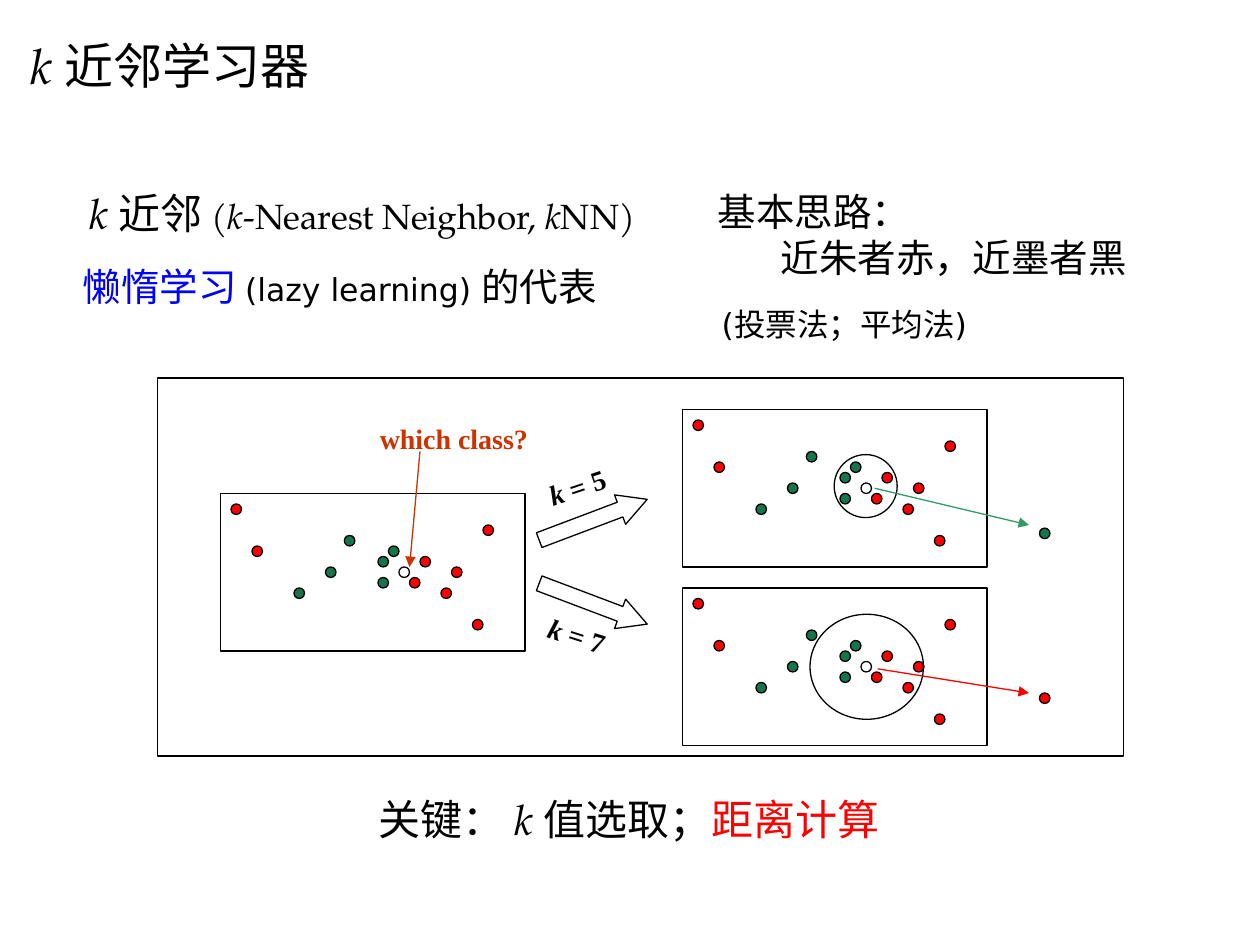
import dataclasses
import typing

import pptx
import pptx.dml.color
import pptx.enum.shapes
import pptx.enum.text
import pptx.oxml
import pptx.oxml.ns
import pptx.util

Cm = pptx.util.Cm
SHAPE = pptx.enum.shapes.MSO_SHAPE
ANCHOR = pptx.enum.text.MSO_ANCHOR


@dataclasses.dataclass(frozen=True)
class Theme:
    black: str = "000000"
    white: str = "FFFFFF"
    red: str = "FF0000"
    green: str = "16754D"
    blue: str = "0000FF"
    rust: str = "CC3300"
    leaf: str = "339966"
    sans: str = "DejaVu Sans"
    serif: str = "TeX Gyre Pagella"
    label: str = "Times New Roman"
    title: int = 28
    head: int = 24
    body: int = 22
    english: int = 20
    note: int = 18
    small: int = 16
    line: float = 0.75


T = Theme()


@dataclasses.dataclass(frozen=True)
class Run:
    text: str
    size: int
    font: str = T.sans
    color: str = T.black
    italic: bool = False
    bold: bool = False


class Box(typing.NamedTuple):
    left: float
    top: float
    width: float
    height: float


class Dot(typing.NamedTuple):
    x: float
    y: float
    color: str


class Panel(typing.NamedTuple):
    x: float
    y: float
    circle: typing.Optional[Box] = None


class Vote(typing.NamedTuple):
    start: tuple
    end: tuple
    color: str
    dot: Dot


class Choice(typing.NamedTuple):
    k: int
    arrow_top: float
    arrow_turn: float
    label_top: float
    label_turn: float


def grid(n: float) -> int:
    """The diagram sits on a grid of twelve steps to the inch."""
    return Cm(n * 2.54 / 12)


def rgb(color: str) -> pptx.dml.color.RGBColor:
    return pptx.dml.color.RGBColor.from_string(color)


def write(p, runs: typing.List[Run]) -> None:
    for run in runs:
        r = p.add_run()
        r.text = run.text
        fmt = {"size": pptx.util.Pt(run.size), "name": run.font,
               "italic": run.italic, "bold": run.bold}
        for name, value in fmt.items():
            setattr(r.font, name, value)
        r.font.color.rgb = rgb(run.color)


def fill_text(sp, box: Box, paragraphs: typing.List[typing.List[Run]], unit=Cm) -> None:
    place = {name: unit(value) for name, value in box._asdict().items()}
    for name, value in place.items():
        setattr(sp, name, value)
    tf = sp.text_frame
    frame = {"word_wrap": True, "vertical_anchor": ANCHOR.TOP,
             "auto_size": pptx.enum.text.MSO_AUTO_SIZE.NONE}
    for name, value in frame.items():
        setattr(tf, name, value)
    for i, runs in enumerate(paragraphs):
        p = tf.add_paragraph() if i else tf.paragraphs[0]
        p.alignment = pptx.enum.text.PP_ALIGN.LEFT
        if i:  # following paragraphs are indented one level
            p.level = 1
            p._p.get_or_add_pPr().set("marL", str(Cm(1.27)))
        write(p, runs)


def add_text(s, box: Box, *paragraphs: typing.List[Run], unit=Cm, turn: float = 0) -> None:
    sp = s.shapes.add_textbox(0, 0, 0, 0)
    fill_text(sp, box, list(paragraphs), unit)
    sp.rotation = turn


def add_outline(s, kind, box: Box, fill: typing.Optional[str] = None):
    sp = s.shapes.add_shape(kind, *(grid(n) for n in box))
    sp.shadow.inherit = False
    if fill:
        sp.fill.solid()
        sp.fill.fore_color.rgb = rgb(fill)
    else:
        sp.fill.background()
    sp.line.color.rgb = rgb(T.black)
    sp.line.width = pptx.util.Pt(T.line)
    return sp


def add_dot(s, dot: Dot, x: float = 0, y: float = 0) -> None:
    add_outline(s, SHAPE.OVAL, Box(x + dot.x, y + dot.y, 1, 1), dot.color)


def add_panel(s, panel: Panel, dots: typing.List[Dot]) -> None:
    add_outline(s, SHAPE.RECTANGLE, Box(panel.x, panel.y, 29, 15))
    for dot in dots:
        add_dot(s, dot, panel.x, panel.y)
    if panel.circle:
        add_outline(s, SHAPE.OVAL, panel.circle)


def add_arrow(s, start: tuple, end: tuple, color: str) -> None:
    c = s.shapes.add_connector(pptx.enum.shapes.MSO_CONNECTOR.STRAIGHT,
                               *(grid(n) for n in start + end))
    c.line.color.rgb = rgb(color)
    c.line.width = pptx.util.Pt(T.line)
    tail = pptx.oxml.ns.qn("a:tailEnd")
    c.line._get_or_add_ln().append(c._element.makeelement(tail, {"type": "triangle"}))
    c._element.spPr.append(c._element.makeelement(pptx.oxml.ns.qn("a:effectLst"), {}))


SAMPLES = (
    [Dot(x, y, T.red) for x, y in
     [(1, 1), (3, 5), (22, 7), (21, 9), (19, 6), (24, 12), (25, 3), (18, 8)]]
    + [Dot(x, y, T.green) for x, y in
       [(11.8, 4), (10, 7), (16, 5), (7, 9), (15, 8), (15, 6)]]
    + [Dot(17, 7, T.white)])
PANELS = [Panel(21, 47),
          Panel(65, 39, Box(79.45, 43.3, 6, 6)),
          Panel(65, 56, Box(77.15, 58.5, 10.8, 10))]
VOTES = [Vote((83.3, 46.5), (98, 50), T.leaf, Dot(99, 50.3, T.green)),
         Vote((83.6, 63.7), (98, 66), T.red, Dot(99, 66, T.red))]
CHOICES = [Choice(5, 48, -20.7, 44, -18.5), Choice(7, 56, 20.7, 58.5, 17.7)]


def main() -> None:
    prs = pptx.Presentation()
    prs.slide_width, prs.slide_height = Cm(25.4), Cm(19.05)
    s = prs.slides.add_slide(prs.slide_layouts[5])

    # Title and introduction
    fill_text(s.shapes.title, Box(0.36, 0.58, 18.31, 1.45),
              [[Run("k ", T.title, T.serif, italic=True), Run("近邻学习器", T.title)]])
    add_text(s, Box(1.55, 3.66, 18.92, 1.27),
             [Run("k ", T.head, T.serif, italic=True),
              Run("近邻 ", T.head, T.serif),
              Run("(", T.english, T.serif),
              Run("k", T.english, T.serif, italic=True),
              Run("-Nearest Neighbor, ", T.english, T.serif),
              Run("k", T.english, T.serif, italic=True),
              Run("NN)", T.english, T.serif)])
    add_text(s, Box(1.42, 5.18, 11.73, 1.19),
             [Run("懒惰学习 ", T.body, color=T.blue),
              Run("(lazy learning) ", T.note), Run("的代表", T.body)])

    # Sample panels
    for panel in PANELS:
        add_panel(s, panel, SAMPLES)

    # Question about the unlabelled sample
    add_arrow(s, (40, 43), (39, 54), T.rust)
    add_text(s, Box(35, 39.6, 17, 4.4),
             [Run("which class?", T.small, T.label, T.rust, bold=True)], unit=grid)

    # Choices of k
    for choice in CHOICES:
        sp = add_outline(s, SHAPE.RIGHT_ARROW, Box(51, choice.arrow_top, 11, 3))
        sp.adjustments[1] = 0.92
        sp.rotation = choice.arrow_turn
        add_text(s, Box(51, choice.label_top, 9, 4.4),
                 [Run("k", T.small, T.label, italic=True, bold=True),
                  Run(f" = {choice.k}", T.small, T.label, bold=True)],
                 unit=grid, turn=choice.label_turn)

    # Voting results
    for vote in VOTES:
        add_arrow(s, vote.start, vote.end, vote.color)
        add_dot(s, vote.dot)
    add_outline(s, SHAPE.RECTANGLE, Box(15, 36, 92, 36))

    # Basic idea and key points
    add_text(s, Box(14.22, 3.66, 9.19, 2.13),
             [Run("基本思路：", T.body)], [Run("近朱者赤，近墨者黑", T.body)])
    add_text(s, Box(7.39, 15.88, 13.97, 1.27),
             [Run("关键： ", T.head), Run("k ", T.head, T.serif, italic=True),
              Run("值选取；", T.head), Run("距离计算", T.head, color=T.red)])
    add_text(s, Box(14.3, 6.02, 6.25, 1.02), [Run("(投票法；平均法)", T.note)])

    prs.save("out.pptx")


if __name__ == "__main__":
    main()
